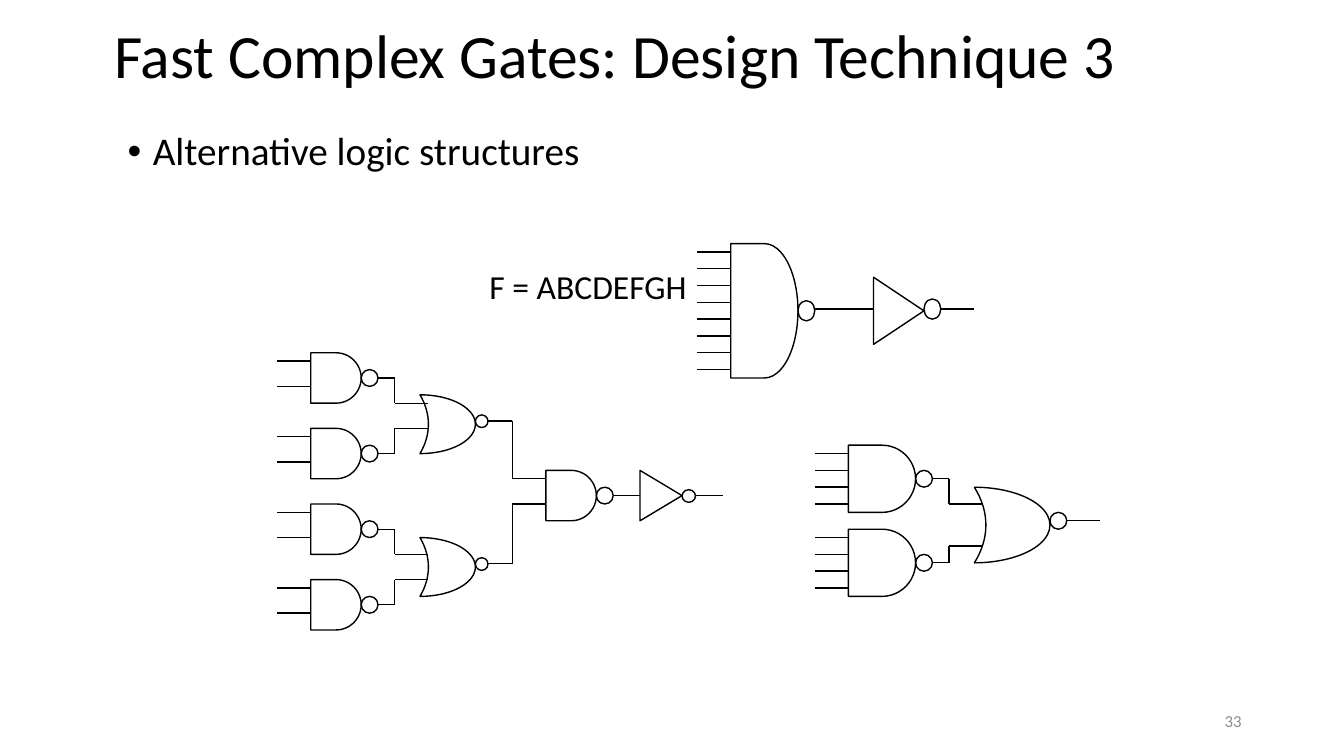
from lxml import etree
from pptx import Presentation
from pptx.dml.color import RGBColor
from pptx.enum.shapes import MSO_CONNECTOR, MSO_SHAPE
from pptx.enum.text import MSO_ANCHOR, MSO_AUTO_SIZE, PP_ALIGN
from pptx.oxml.ns import qn
from pptx.util import Emu, Pt

PX = 7620
COLORS = {"ink": "000000", "number": "8C8C8C"}
FONT = "Calibri"
AND, BUBBLE = MSO_SHAPE.FLOWCHART_DELAY, MSO_SHAPE.OVAL
OR, INVERTER = MSO_SHAPE.MOON, MSO_SHAPE.FLOWCHART_MERGE
STRAIGHT = MSO_CONNECTOR.STRAIGHT
MIDDLE, TOP = MSO_ANCHOR.MIDDLE, MSO_ANCHOR.TOP
LEFT, CENTER, RIGHT = PP_ALIGN.LEFT, PP_ALIGN.CENTER, PP_ALIGN.RIGHT
NO_AUTOFIT = MSO_AUTO_SIZE.NONE
INK = RGBColor.from_string(COLORS["ink"])

prs = Presentation()
prs.slide_width, prs.slide_height = Emu(1600 * PX), Emu(900 * PX)
s = prs.slides.add_slide(prs.slide_layouts[1])


def part(kind, x, y, w, h, rotation=0):
    sp = s.shapes.add_shape(kind, x * PX, y * PX, w * PX, h * PX)
    sp.rotation = rotation
    sp.shadow.inherit = False
    sp.fill.background()
    sp.line.color.rgb = INK
    sp.line.width = Pt(1)
    if kind == OR:
        sp.adjustments[0] = 0.848


def wire(*points):
    for (x1, y1), (x2, y2) in zip(points, points[1:]):
        c = s.shapes.add_connector(STRAIGHT, x1 * PX, y1 * PX, x2 * PX, y2 * PX)
        c.line.color.rgb = INK
        c.line.width = Pt(1)
        etree.SubElement(c._element.spPr, qn("a:effectLst"))


title, body = s.shapes.title, s.placeholders[1]
number = s.shapes.add_textbox(0, 0, 0, 0)
formula = s.shapes.add_textbox(0, 0, 0, 0)
texts = [
    (title, "Fast Complex Gates: Design Technique 3", 124, 23, 1327, 94, 44, "ink", LEFT, MIDDLE, 0.9),
    (body, "Alternative logic structures", 140, 151, 740, 70, 28, "ink", LEFT, TOP, 0.9),
    (number, "33", 1130, 834, 360, 48, 12, "number", RIGHT, MIDDLE, 1.0),
    (formula, "F = ABCDEFGH", 569, 311, 262, 60, 24, "ink", CENTER, MIDDLE, 1.0),
]
for sp, text, x, y, w, h, size, color, align, anchor, spacing in texts:
    sp.left, sp.top, sp.width, sp.height = [Emu(v * PX) for v in (x, y, w, h)]
    tf = sp.text_frame
    tf.auto_size = NO_AUTOFIT
    tf.word_wrap = sp is not formula
    tf.vertical_anchor = anchor
    p = tf.paragraphs[0]
    p.alignment = align
    p.line_spacing = spacing
    p.space_before = Pt(0)
    if sp is body:
        pPr = p._p.get_or_add_pPr()
        pPr.set("marL", str(30 * PX))
        pPr.set("indent", str(-30 * PX))
        etree.SubElement(pPr, qn("a:buFont")).set("typeface", "Arial")
        etree.SubElement(pPr, qn("a:buChar")).set("char", "•")
    r = p.add_run()
    r.text = text
    r.font.name = FONT
    r.font.size = Pt(size)
    r.font.color.rgb = RGBColor.from_string(COLORS[color])

nands = [(870, 290, 80, 160, 24, 8, 20)]
nands += [(1010, y, 80, 80, 20, 4, 20) for y in (530, 630)]
nands += [(370, 420 + 90 * i, 60, 60, 20, 2, 30) for i in range(4)]
nands += [(650, 560, 60, 60, 20, 2, 30)]
for x, y, w, h, bubble_h, inputs, pitch in nands:
    part(AND, x, y, w, h)
    part(BUBBLE, x + w, y + (h - bubble_h) // 2, 20, bubble_h)
    for i in range(inputs):
        wire((x - 40, y + 10 + pitch * i), (x, y + 10 + pitch * i))

nors = [(1160, 580, 90, 90, 610, 20, 20, 1310)]
nors += [(500, y, 66, 70, y + 24, 15, 15, 610) for y in (470, 640)]
for x, y, w, h, bubble_y, bubble_w, bubble_h, end in nors:
    part(OR, x, y, w, h, 180)
    part(BUBBLE, x + w, bubble_y, bubble_w, bubble_h)
    out_y = bubble_y + bubble_h // 2
    wire((x + w + bubble_w, out_y), (end, out_y))

inverters = [(970, 1040, 60, 80, 368, 20, 24, 1160), (730, 762, 50, 60, 590, 16, 15, 861)]
for start, x, w, h, y, bubble_w, bubble_h, end in inverters:
    part(INVERTER, x + (w - h) // 2, y + 2 - w // 2 if h == 80 else y - w // 2, h, w, 270)
    part(BUBBLE, x + w, y - bubble_h // 2, bubble_w, bubble_h)
    wire((start, y), (x, y))
    wire((x + w + bubble_w, y), (end, y))

links = [(1110, 1130, 1170, 570, 600), (1110, 1130, 1170, 670, 650)]
links += [(450, 470, 510, 450 + 90 * i, y) for i, y in enumerate((480, 510, 660, 690))]
for start, bend, end, y1, y2 in links:
    wire((start, y1), (bend, y1), (bend, y2), (end, y2))
for y1, y2 in ((501, 570), (671, 600)):
    wire((610, y1), (610, y2))

prs.save("out.pptx")
